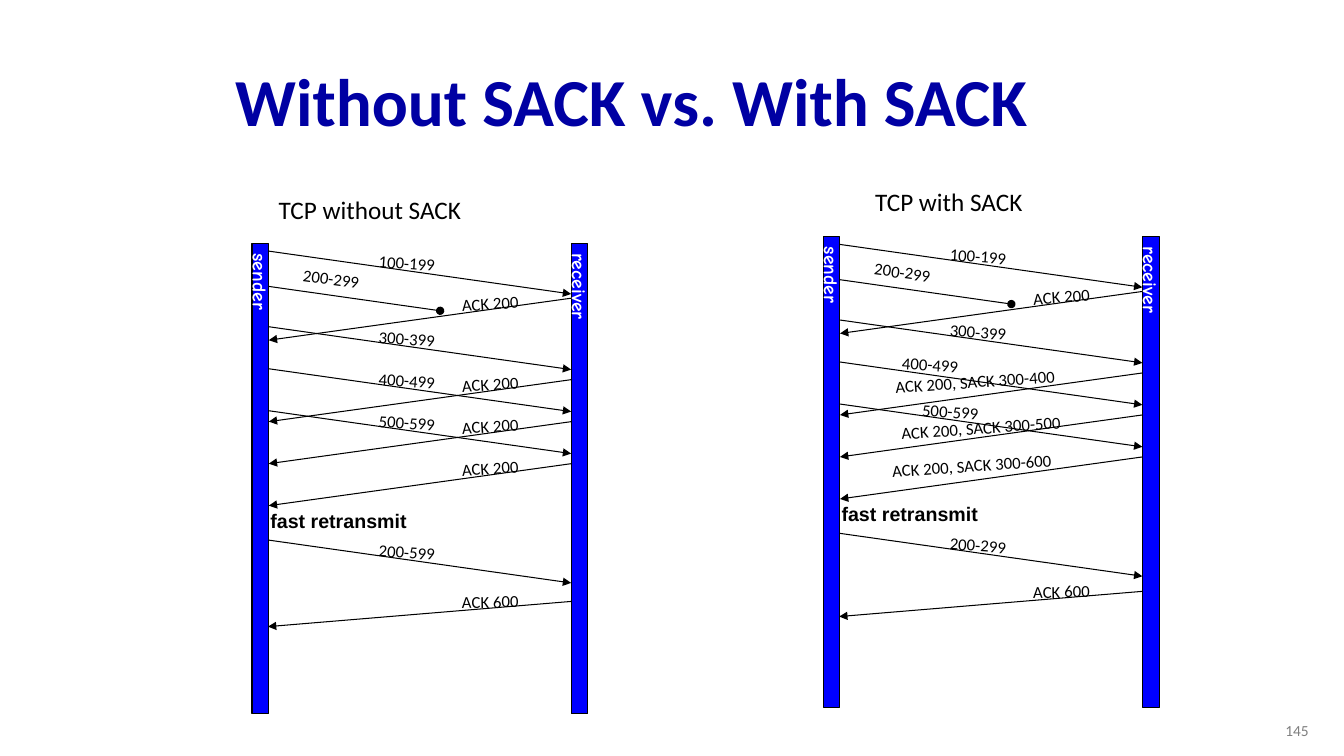
from pptx import Presentation as Deck
from pptx.dml.color import RGBColor as Rgb
from pptx.enum.shapes import MSO_CONNECTOR as Link, MSO_SHAPE as Form
from pptx.enum.text import MSO_ANCHOR as Anchor, MSO_AUTO_SIZE as Fit, PP_ALIGN as Align
from pptx.oxml.ns import qn
from pptx.util import Inches, Pt
from lxml.etree import SubElement as Sub

COLS, ROWS = 160, 90


def tint(code):
    return Rgb.from_string(code)


class Board:
    styles = {
        "title": dict(name="Calibri", size=Pt(48), bold=True, color="0000A3"),
        "head": dict(name="Calibri", size=Pt(18), bold=False, color="000000"),
        "label": dict(name="Calibri", size=Pt(12), bold=False, color="000000"),
        "note": dict(name="Arial", size=Pt(14), bold=True, color="000000"),
        "bar": dict(name="Comic Neue", size=Pt(14), bold=True, color="FFFFFF"),
        "page": dict(name="Calibri", size=Pt(11), bold=False, color="808080"),
    }

    def __init__(self, deck):
        self.wide, self.high = deck.slide_width, deck.slide_height
        self.slide = deck.slides.add_slide(deck.slide_layouts[5])
        self.host = self.slide.shapes
        self.left = self.top = 0

    def panel(self, left, top):
        self.host = self.slide.shapes.add_group_shape().shapes
        self.left, self.top = left, top

    def leave(self):
        self.host, self.left, self.top = self.slide.shapes, 0, 0

    def spot(self, col, row):
        return (round((self.left + col) * self.wide / COLS),
                round((self.top + row) * self.high / ROWS))

    def area(self, col, row, cols, rows):
        return (*self.spot(col, row), round(cols * self.wide / COLS),
                round(rows * self.high / ROWS))

    def letter(self, shape, text, style, **frame):
        shape.text_frame.text = text
        form = dict(word_wrap=True, auto_size=Fit.NONE, vertical_anchor=Anchor.TOP)
        side = frame.pop("side", Align.LEFT)
        for key, value in {**form, **frame}.items():
            setattr(shape.text_frame, key, value)
        line = shape.text_frame.paragraphs[0]
        line.alignment = side
        for key, value in self.styles[style].items():
            if key == "color":
                line.font.color.rgb = tint(value)
            else:
                setattr(line.font, key, value)

    def title(self, text, *box):
        shape = self.slide.shapes.title
        for key, value in zip(("left", "top", "width", "height"), self.area(*box)):
            setattr(shape, key, value)
        self.letter(shape, text, "title")

    def text(self, text, style, *box, turn=0, **frame):
        shape = self.host.add_textbox(*self.area(*box))
        shape.rotation = turn
        self.letter(shape, text, style, **frame)

    def label(self, text, col, row, turn, cols=9.24):
        self.text(text, "label", col, row, cols, 3.6, turn=turn,
                  word_wrap=False, auto_size=Fit.SHAPE_TO_FIT_TEXT)

    def bar(self, text, *box):
        shape = self.host.add_shape(Form.RECTANGLE, *self.area(*box))
        shape.shadow.inherit = False
        shape.fill.solid()
        shape.fill.fore_color.rgb = tint("0000FF")
        shape.line.color.rgb = tint("000000")
        shape.line.width = Pt(0.75)
        self.letter(shape, text, "bar", side=Align.CENTER,
                    word_wrap=False, vertical_anchor=Anchor.MIDDLE)
        shape.text_frame._txBody.bodyPr.set("vert", "eaVert")

    def arrow(self, start, end, tip="triangle"):
        line = self.host.add_connector(Link.STRAIGHT, *self.spot(*start), *self.spot(*end))
        line.line.color.rgb = tint("000000")
        line.line.width = Pt(0.75)
        Sub(line.line._get_or_add_ln(), qn("a:tailEnd"), type=tip)
        Sub(line._element.spPr, qn("a:effectLst"))


SEND, TAKE = 2, 38
LABEL, REPLY = 13.9, 23.8
FLOWS = [
    dict(left=30, top=29, resent="200-599", final=42.6,
         data=[("300-399", LABEL, 9.5), ("400-499", LABEL, 14.5), ("500-599", LABEL, 19.5)],
         acks=[("ACK 200", REPLY, row, 9.24) for row in (14.9, 19.9, 24.9)]),
    dict(left=98, top=28.2, resent="200-299", final=42.2,
         data=[("300-399", LABEL, 9.5), ("400-499", 8.2, 13.4), ("500-599", 10.6, 19)],
         acks=[("ACK 200, SACK 300-400", 7.4, 15.4, 21.7),
               ("ACK 200, SACK 300-500", 8.1, 20.9, 21.7),
               ("ACK 200, SACK 300-600", 7, 25.4, 21.7)]),
]


def draw(board, flow):
    board.panel(flow["left"], flow["top"])
    for name, col in (("sender", 0), ("receiver", TAKE)):
        board.bar(name, col, 0, 2, 56)

    sent = [("100-199", LABEL, 0.5), *flow["data"], (flow["resent"], LABEL, 34.9)]
    for row, (text, col, high) in zip((0.9, 9.9, 14.9, 19.9, 35.3), sent):
        board.arrow((SEND, row), (TAKE, row + 5.1))
        board.label(text, col, high, 4)

    board.arrow((SEND, 5.1), (22.4, 8), "oval")
    board.label("200-299", 4.9, 2.4, 7.7)

    acks = [("ACK 200", REPLY, 5.3, 9.24), *flow["acks"]]
    for row, (text, col, high, cols) in zip((6.5, 16.2, 21.2, 26.2), acks):
        board.arrow((TAKE, row), (SEND, row + 5))
        board.label(text, col, high, 356, cols)

    board.text("fast retransmit", "note", 1, 31, 19, 4)
    last = flow["final"]
    board.arrow((TAKE, last), (SEND - 0.1, last + 3))
    board.label("ACK 600", REPLY, last - 1.8, 359.1)


def main():
    deck = Deck()
    deck.slide_width, deck.slide_height = Inches(13.33), Inches(7.5)
    board = Board(deck)
    board.title("Without SACK vs. With SACK", 26.8, 6.5, 103.6, 10.9)
    for flow in FLOWS:
        draw(board, flow)
    board.leave()
    board.text("TCP without SACK", "head", 32, 22.6, 38, 4.8)
    board.text("TCP with SACK", "head", 103, 21.6, 38, 4.8)
    board.text("145", "page", 121, 84.6, 36, 4.8,
               side=Align.RIGHT, vertical_anchor=Anchor.MIDDLE)
    deck.save("out.pptx")


if __name__ == "__main__":
    main()
